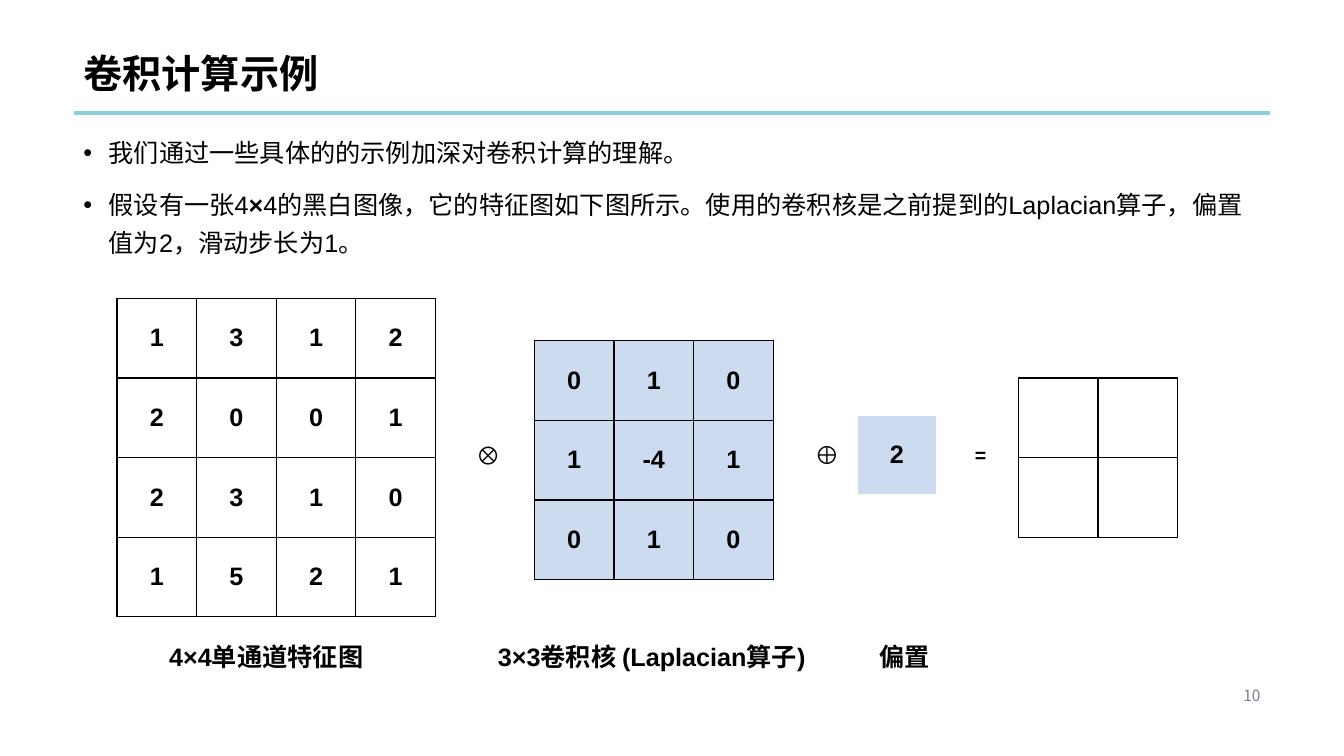
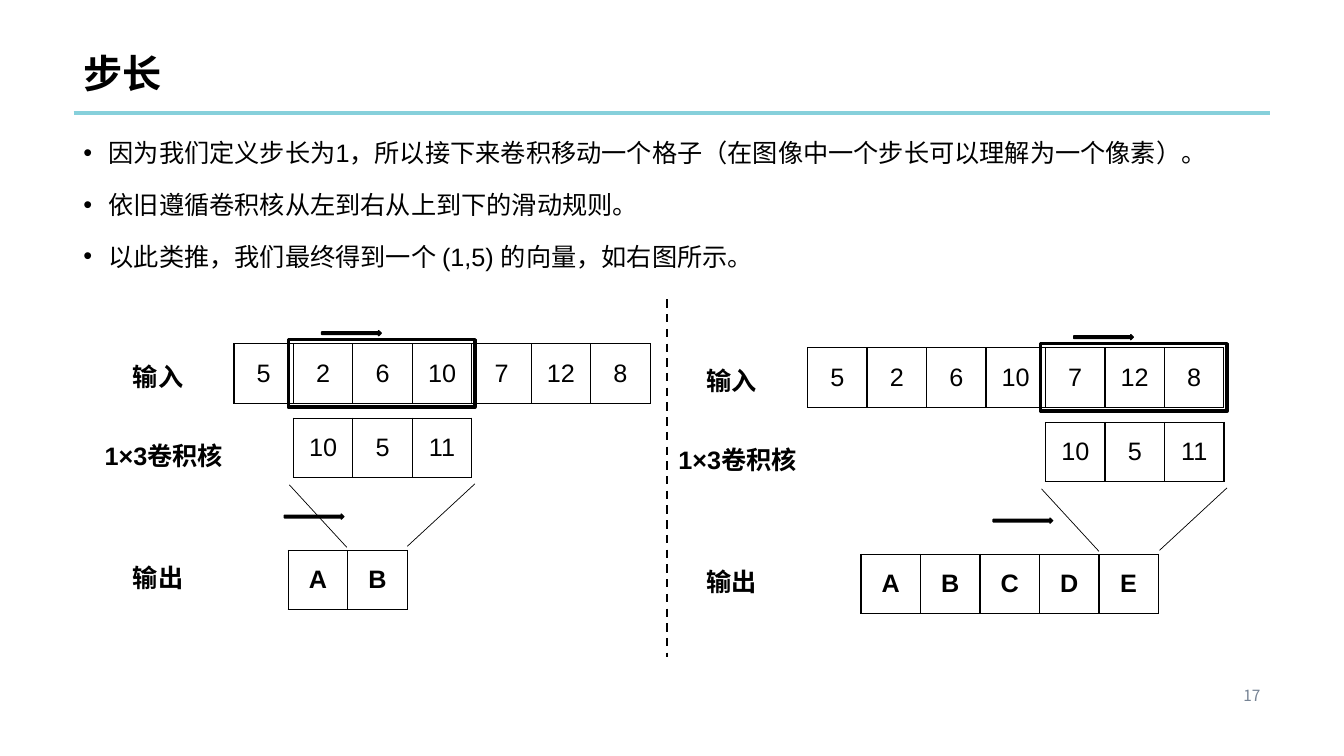
from lxml.etree import SubElement
from pptx import Presentation
from pptx.dml.color import RGBColor
from pptx.enum.dml import MSO_LINE_DASH_STYLE as Dash
from pptx.enum.shapes import MSO_CONNECTOR as Connector, MSO_SHAPE as Shape
from pptx.enum.text import MSO_ANCHOR as Anchor, PP_ALIGN as Align
from pptx.oxml.ns import qn
from pptx.util import Inches, Pt

BLACK, WHITE = "000000", "FFFFFF"
TEAL, GREY, PALE_BLUE = "86D0DB", "768394", "CCDBF0"
LATIN, CHINESE = "Arial", "Noto Sans CJK SC"
LEFT, RIGHT = 0.73, 12.6
WIDTH = RIGHT - LEFT


def color(value):
    return RGBColor.from_string(value)


def write(frame, paragraphs, size=18, ink=BLACK, bold=False, font=LATIN,
          align=Align.LEFT, spacing=None, before=0, bullet=False):
    for index, pieces in enumerate(paragraphs):
        para = frame.add_paragraph() if index else frame.paragraphs[0]
        para.alignment = align
        if spacing:
            para.line_spacing = spacing
        if index and before:
            para.space_before = Pt(before)
        if bullet:
            properties = para._p.get_or_add_pPr()
            properties.set("marL", str(Inches(0.25)))
            properties.set("indent", str(Inches(-0.25)))
            SubElement(properties, qn("a:buFont"), typeface=LATIN)
            SubElement(properties, qn("a:buChar"), char="•")
        for text, emphasis in pieces:
            span = para.add_run()
            span.text = text
            span.font.size = Pt(size)
            span.font.bold = bold or emphasis
            span.font.name = font
            span.font.color.rgb = color(ink)
            SubElement(span.font._element, qn("a:ea"), typeface=CHINESE)


def plain(text):
    return [(text, False)]


class Lecture:
    def __init__(self):
        self.deck = Presentation()
        self.deck.slide_width = Inches(13.33)
        self.deck.slide_height = Inches(7.5)
        self.page = None

    def start_page(self, title, number, points):
        self.page = self.deck.slides.add_slide(self.deck.slide_layouts[6])
        self.line(LEFT, 1.12, RIGHT, 1.12, ink=TEAL, weight=3)
        self.text(10.96, 6.76, 1.64, 0.29, [plain(number)], size=11,
                  ink=GREY, font=CHINESE, align=Align.RIGHT)
        self.text(LEFT, 0, WIDTH, 1.01, [plain(title)], anchor=Anchor.BOTTOM,
                  size=28, bold=True, spacing=0.9)
        self.text(LEFT, 1.24, WIDTH, 5.48, points, wrap=True,
                  spacing=1.25, before=10, bullet=True)

    def text(self, left, top, width, height, paragraphs,
             wrap=False, anchor=Anchor.TOP, **style):
        box = self.page.shapes.add_textbox(
            Inches(left), Inches(top), Inches(width), Inches(height))
        box.text_frame.word_wrap = wrap
        box.text_frame.vertical_anchor = anchor
        write(box.text_frame, paragraphs, **style)

    def label(self, left, top, width, text, bold=True, **style):
        self.text(left, top, width, 0.4, [plain(text)], bold=bold, **style)

    def line(self, x1, y1, x2, y2, ink=BLACK, weight=0.5, dash=None):
        line = self.page.shapes.add_connector(
            Connector.STRAIGHT, Inches(x1), Inches(y1), Inches(x2), Inches(y2))
        line.line.color.rgb = color(ink)
        line.line.width = Pt(weight)
        if dash:
            line.line.dash_style = dash
        SubElement(line._element.spPr, qn("a:effectLst"))

    def shape(self, kind, left, top, width, height, fill=None, weight=1):
        shape = self.page.shapes.add_shape(
            kind, Inches(left), Inches(top), Inches(width), Inches(height))
        shape.shadow.inherit = False
        if fill:
            shape.fill.solid()
            shape.fill.fore_color.rgb = color(fill)
        else:
            shape.fill.background()
        shape.line.color.rgb = color(BLACK)
        shape.line.width = Pt(weight)

    def arrow(self, left, top):
        self.shape(Shape.RIGHT_ARROW, left, top, 0.59, 0.05, fill=BLACK)

    def grid(self, left, top, values, side, fill=None, border=BLACK, bold=True):
        rows, columns = len(values), len(values[0])
        table = self.page.shapes.add_table(
            rows, columns, Inches(left), Inches(top),
            Inches(side * columns), Inches(side * rows)).table
        table.first_row = table.horz_banding = False
        for band in [*table.rows]:
            band.height = Inches(side)
        for band in [*table.columns]:
            band.width = Inches(side)
        for row, entries in enumerate(values):
            for column, value in enumerate(entries):
                cell = table.cell(row, column)
                self.outline(cell, border)
                if fill:
                    cell.fill.solid()
                    cell.fill.fore_color.rgb = color(fill)
                else:
                    cell.fill.background()
                cell.vertical_anchor = Anchor.MIDDLE
                if value:
                    write(cell.text_frame, [plain(value)], bold=bold,
                          align=Align.CENTER)

    def outline(self, cell, ink):
        properties = cell._tc.get_or_add_tcPr()
        for side in ("a:lnL", "a:lnR", "a:lnT", "a:lnB"):
            edge = SubElement(properties, qn(side), w=str(Pt(1)))
            paint = SubElement(edge, qn("a:solidFill"))
            SubElement(paint, qn("a:srgbClr"), val=ink)

    def sliding(self, left, top, offset, output_left, outputs, arrow_left):
        side = 0.59
        kernel = left + offset * side
        self.grid(left, top, [["5", "2", "6", "10", "7", "12", "8"]], side,
                  bold=False)
        self.grid(kernel, top + 0.74, [["10", "5", "11"]], side, bold=False)
        self.grid(output_left, top + 2.05, [outputs], side)
        self.label(left - 1.1, top + 0.13, 0.71, "输入")
        self.label(left - 1.38, top + 0.91, 1.43, "1×3卷积核")
        self.label(left - 1.1, top + 2.12, 0.71, "输出")
        self.shape(Shape.RECTANGLE, kernel - 0.05, top - 0.04, 1.85, 0.67,
                   weight=2.5)
        self.line(kernel - 0.04, top + 1.4, kernel + 0.53, top + 2.02)
        self.line(kernel + 1.8, top + 1.39, kernel + 1.13, top + 2.01)
        self.arrow(kernel + 0.28, top - 0.13)
        self.arrow(arrow_left, top + 1.69)


def convolution_page(lecture):
    lecture.start_page("卷积计算示例", "10", [
        plain("我们通过一些具体的的示例加深对卷积计算的理解。"),
        [("假设有一张4", False), ("×", True),
         ("4的黑白图像，它的特征图如下图所示。使用的卷积核是之前提到的"
          "Laplacian算子，偏置值为2，滑动步长为1。", False)],
    ])
    side = 0.79
    lecture.grid(1.16, 2.96, ["1312", "2001", "2310", "1521"], side)
    lecture.grid(5.3, 3.38,
                 [["0", "1", "0"], ["1", "-4", "1"], ["0", "1", "0"]],
                 side, fill=PALE_BLUE)
    lecture.grid(8.5, 4.12, ["2"], side, fill=PALE_BLUE, border=WHITE)
    lecture.grid(10.1, 3.75, [["", ""], ["", ""]], side)
    lecture.label(1.58, 6.31, 2.19, "4×4单通道特征图")
    lecture.label(4.84, 6.31, 3.41, "3×3卷积核 (Laplacian算子)", wrap=True)
    lecture.label(8.62, 6.31, 0.71, "偏置")
    lecture.label(4.62, 4.31, 0.43, "⊗", bold=False)
    lecture.label(7.98, 4.31, 0.43, "⊕", bold=False)
    lecture.label(9.57, 4.34, 0.32, "=", size=14)


def stride_page(lecture):
    lecture.start_page("步长", "17", [
        plain("因为我们定义步长为1，所以接下来卷积移动一个格子"
              "（在图像中一个步长可以理解为一个像素）。"),
        plain("依旧遵循卷积核从左到右从上到下的滑动规则。"),
        plain("以此类推，我们最终得到一个 (1,5) 的向量，如右图所示。"),
    ])
    lecture.sliding(2.32, 3.41, 1, 2.86, "AB", 2.82)
    lecture.sliding(8.01, 3.45, 4, 8.54, "ABCDE", 9.85)
    lecture.line(6.62, 2.97, 6.62, 6.52, weight=1.5, dash=Dash.DASH)


def main():
    lecture = Lecture()
    convolution_page(lecture)
    stride_page(lecture)
    lecture.deck.save("out.pptx")


if __name__ == "__main__":
    main()
